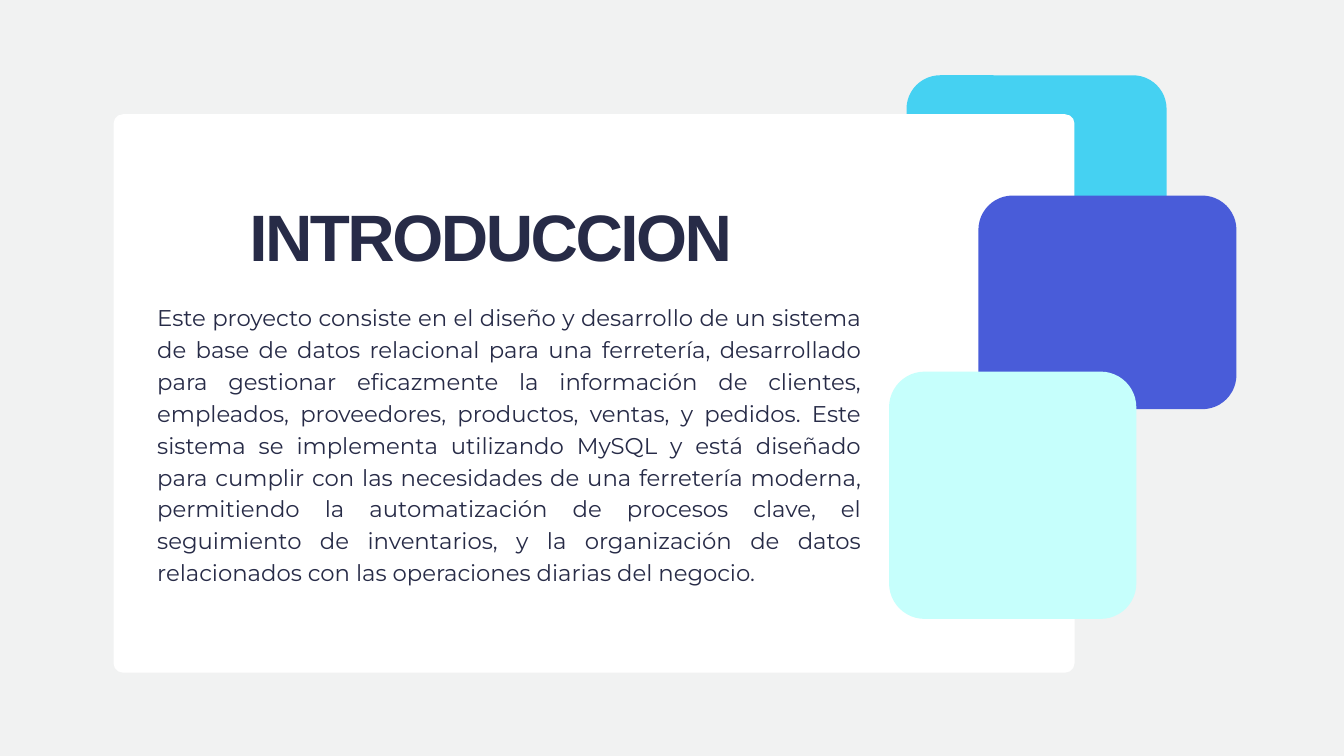
from pptx import Presentation
from pptx.dml.color import RGBColor
from pptx.enum.shapes import MSO_SHAPE
from pptx.enum.text import MSO_ANCHOR, PP_ALIGN
from pptx.util import Inches, Pt

BACKGROUND = RGBColor(0xF1, 0xF2, 0xF2)
SKY = RGBColor(0x45, 0xD1, 0xF2)
WHITE = RGBColor(0xFF, 0xFF, 0xFF)
INDIGO = RGBColor(0x49, 0x5C, 0xD9)
MINT = RGBColor(0xC6, 0xFF, 0xFC)
NAVY = RGBColor(0x27, 0x2B, 0x47)

PANELS = [
    ((13.49, 1.12, 3.87, 3.58), 0.5, SKY),
    ((1.69, 1.7, 14.3, 8.31), 0.14, WHITE),
    ((14.56, 2.91, 3.84, 3.18), 0.51, INDIGO),
    ((13.23, 5.53, 3.68, 3.68), 0.53, MINT),
]

TITLE = "INTRODUCCION"
SUMMARY = (
    "Este proyecto consiste en el diseño y desarrollo de un sistema de base de datos "
    "relacional para una ferretería, desarrollado para gestionar eficazmente la "
    "información de clientes, empleados, proveedores, productos, ventas, y pedidos. "
    "Este sistema se implementa utilizando MySQL y está diseñado para cumplir con las "
    "necesidades de una ferretería moderna, permitiendo la automatización de procesos "
    "clave, el seguimiento de inventarios, y la organización de datos relacionados con "
    "las operaciones diarias del negocio."
)


def add_panel(slide, box, radius, color):
    """Add a borderless rounded rectangle whose corner radius is in inches."""
    panel = slide.shapes.add_shape(MSO_SHAPE.ROUNDED_RECTANGLE, *map(Inches, box))
    panel.adjustments[0] = radius / min(box[2:])
    panel.shadow.inherit = False
    panel.fill.solid()
    panel.fill.fore_color.rgb = color
    panel.line.fill.background()


def add_text(slide, text, box, *, font, size, leading, bold=False,
             align=PP_ALIGN.LEFT, tracking=0):
    """Add a wrapped text box without margins; tracking is in points."""
    frame = slide.shapes.add_textbox(*map(Inches, box)).text_frame
    frame.word_wrap = True
    frame.vertical_anchor = MSO_ANCHOR.TOP
    frame.margin_left = frame.margin_right = 0
    frame.margin_top = frame.margin_bottom = 0
    paragraph = frame.paragraphs[0]
    paragraph.alignment = align
    paragraph.line_spacing = Pt(leading)
    run = paragraph.add_run()
    run.text = text
    run.font.name = font
    run.font.size = Pt(size)
    run.font.bold = bold
    run.font.color.rgb = NAVY
    if tracking:
        run._r.get_or_add_rPr().set("spc", str(round(tracking * 100)))


def main():
    """Build the introduction slide and save it."""
    deck = Presentation()
    deck.slide_width, deck.slide_height = Inches(20), Inches(11.25)
    slide = deck.slides.add_slide(deck.slide_layouts[6])
    slide.background.fill.solid()
    slide.background.fill.fore_color.rgb = BACKGROUND

    for box, radius, color in PANELS:
        add_panel(slide, box, radius, color)

    add_text(slide, SUMMARY, (2.34, 4.45, 10.47, 4.2), font="Montserrat",
             size=24.4, leading=34.2, align=PP_ALIGN.JUSTIFY)
    add_text(slide, TITLE, (3.71, 2.93, 7.74, 1.14), font="Arial",
             size=70.3, leading=83, bold=True, tracking=-2.7)
    deck.save("out.pptx")


if __name__ == "__main__":
    main()
